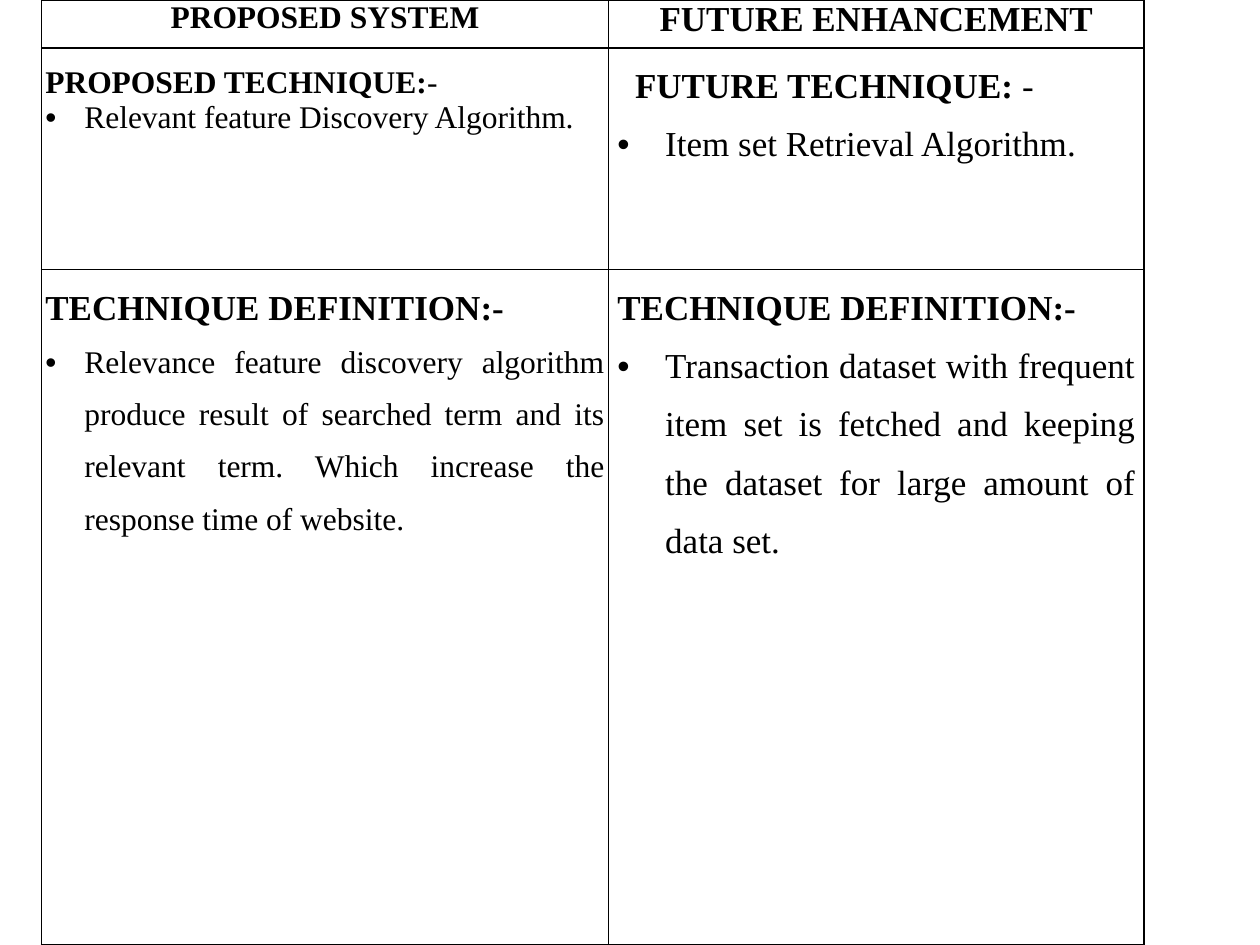
from pptx import Presentation
from pptx.util import Inches, Pt
from pptx.dml.color import RGBColor
from pptx.enum.text import PP_ALIGN as AL
from lxml.etree import SubElement
from pptx.oxml.ns import qn

THEME = {"font": "Times New Roman", "ink": "000000", "small": 18, "large": 20, "line": 1}
COLS = [4.5, 4.25]
ROWS = [0.38, 1.76, 5.36]
SMALL, LARGE = THEME["small"], THEME["large"]

HEADER = {"alignment": AL.CENTER, "space_before": Pt(6), "space_after": Pt(6)}
LEFT = {"alignment": AL.LEFT}
LOOSE = {"alignment": AL.LEFT, "line_spacing": 1.5}
JUSTIFIED = {"alignment": AL.JUSTIFY, "line_spacing": 1.5}

# Each paragraph: size, format, left margin, first-line indent, bold text, plain text
CELLS = [
    [
        [(SMALL, HEADER, 0, 0, "PROPOSED SYSTEM", "")],
        [(LARGE, HEADER, 0, 0, "FUTURE ENHANCEMENT", "")],
    ],
    [
        [(SMALL, LOOSE, 0, 0, "PROPOSED TECHNIQUE:", "-"),
         (SMALL, LEFT, 0.31, -0.31, "", "Relevant feature Discovery Algorithm.")],
        [(LARGE, JUSTIFIED, 0.14, 0, "FUTURE TECHNIQUE:", " -"),
         (LARGE, JUSTIFIED, 0.38, -0.38, "", "Item set Retrieval Algorithm.")],
    ],
    [
        [(LARGE, LOOSE, 0, 0, "TECHNIQUE DEFINITION:-", ""),
         (SMALL, JUSTIFIED, 0.31, -0.31, "",
          "Relevance feature discovery algorithm produce result of searched term and its "
          "relevant term. Which increase the response time of website.")],
        [(LARGE, JUSTIFIED, 0.11, -0.11, "TECHNIQUE DEFINITION:-", ""),
         (LARGE, JUSTIFIED, 0.38, -0.38, "",
          "Transaction dataset with frequent item set is fetched and keeping the dataset "
          "for large amount of data set.")],
    ],
]


def add_borders(cell):
    tcPr = cell._tc.get_or_add_tcPr()
    for side in ("lnL", "lnR", "lnT", "lnB"):
        ln = SubElement(tcPr, qn(f"a:{side}"), w=str(Pt(THEME["line"])))
        fill = SubElement(ln, qn("a:solidFill"))
        SubElement(fill, qn("a:srgbClr"), val=THEME["ink"])


def add_paragraph(p, size, fmt, margin, indent, bold, plain):
    for name, value in fmt.items():
        setattr(p, name, value)
    pPr = p._p.get_or_add_pPr()
    pPr.set("marL", str(Inches(margin)))
    pPr.set("indent", str(Inches(indent)))
    if not bold:
        SubElement(pPr, qn("a:buFont"), typeface="Arial")
        SubElement(pPr, qn("a:buChar"), char="•")
    for text, is_bold in ((bold, True), (plain, False)):
        if text:
            r = p.add_run()
            r.text = text
            for name, value in {"name": THEME["font"], "size": Pt(size), "bold": is_bold}.items():
                setattr(r.font, name, value)
            r.font.color.rgb = RGBColor.from_string(THEME["ink"])


prs = Presentation()
prs.slide_width, prs.slide_height = Inches(10), Inches(7.5)
s = prs.slides.add_slide(prs.slide_layouts[6])

table = s.shapes.add_table(len(ROWS), len(COLS), Inches(0.33), Inches(0),
                           Inches(sum(COLS)), Inches(sum(ROWS))).table
table.first_row = table.horz_banding = False
for col, width in zip(table.columns, COLS):
    col.width = Inches(width)
for row, height in zip(table.rows, ROWS):
    row.height = Inches(height)

for i, row in enumerate(CELLS):
    for j, paragraphs in enumerate(row):
        cell = table.cell(i, j)
        inset = Inches(0.07 if i and j else 0.03)
        for name, value in {"margin_left": inset, "margin_right": inset,
                            "margin_top": 0, "margin_bottom": 0}.items():
            setattr(cell, name, value)
        add_borders(cell)
        cell.fill.background()
        tf = cell.text_frame
        for k, paragraph in enumerate(paragraphs):
            add_paragraph(tf.add_paragraph() if k else tf.paragraphs[0], *paragraph)

prs.save("out.pptx")
